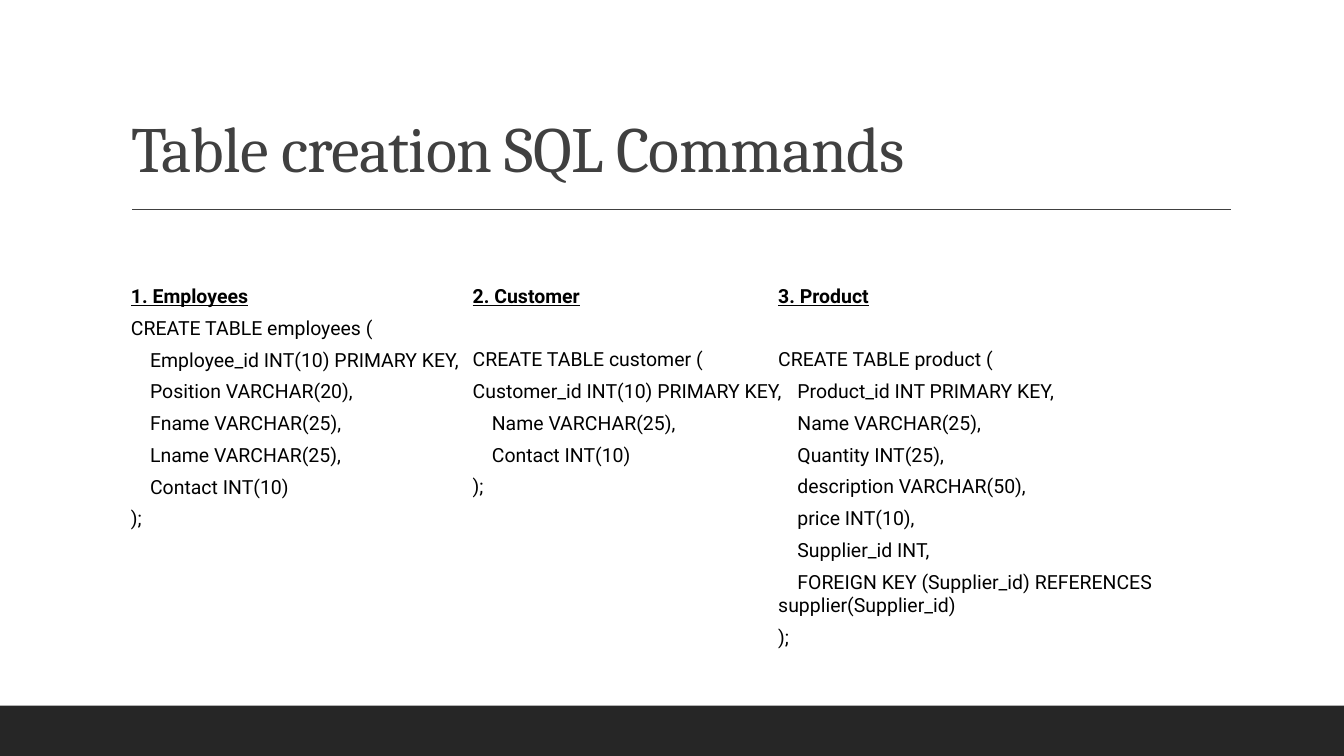
from lxml import etree
from pptx import Presentation
from pptx.dml.color import RGBColor
from pptx.enum.shapes import MSO_CONNECTOR, MSO_SHAPE
from pptx.enum.text import MSO_ANCHOR, MSO_AUTO_SIZE, PP_ALIGN
from pptx.oxml.ns import qn
from pptx.util import Inches, Pt

STRAIGHT = MSO_CONNECTOR.STRAIGHT
RECTANGLE = MSO_SHAPE.RECTANGLE
BOTTOM, TOP = MSO_ANCHOR.BOTTOM, MSO_ANCHOR.TOP
NO_AUTOFIT = MSO_AUTO_SIZE.NONE
LEFT = PP_ALIGN.LEFT

COLORS = {"paper": "FFFFFF", "title": "404040", "bar": "262626", "code": "000000"}
TITLE_FONT = {"name": "Cambria", "size": Pt(46), "bold": False}
CODE_FONT = {"name": "Roboto", "size": Pt(13.9), "bold": False, "underline": False}
HEADING_FONT = {**CODE_FONT, "bold": True, "underline": True}
FIELD_INDENT = Inches(0.19)
LINE_GAP = Pt(6)
WIDE_GAP = Pt(28.5)
COLUMN_TOP = 2.77

TABLES = [
    {"heading": "1. Employees", "left": 1.2, "width": 3.75, "height": 3.19, "gap": LINE_GAP,
     "lines": [("CREATE TABLE employees (", False),
               ("Employee_id INT(10) PRIMARY KEY,", True),
               ("Position VARCHAR(20),", True),
               ("Fname VARCHAR(25),", True),
               ("Lname VARCHAR(25),", True),
               ("Contact INT(10)", True),
               (");", False)]},
    {"heading": "2. Customer", "left": 4.59, "width": 3.4, "height": 2.63, "gap": WIDE_GAP,
     "lines": [("CREATE TABLE customer (", False),
               ("Customer_id INT(10) PRIMARY KEY,", False),
               ("Name VARCHAR(25),", True),
               ("Contact INT(10)", True),
               (");", False)]},
    {"heading": "3. Product", "left": 7.62, "width": 4.58, "height": 4.13, "gap": WIDE_GAP,
     "lines": [("CREATE TABLE product (", False),
               ("Product_id INT PRIMARY KEY,", True),
               ("Name VARCHAR(25),", True),
               ("Quantity INT(25),", True),
               ("description VARCHAR(50),", True),
               ("price INT(10),", True),
               ("Supplier_id INT,", True),
               ("FOREIGN KEY (Supplier_id) REFERENCES supplier(Supplier_id)", True),
               (");", False)]},
]


class SlideBuilder:
    """Holds the colours and the current slide, and adds each kind of element."""

    def __init__(self, deck, colors):
        self.colors = colors
        self.slide = deck.slides.add_slide(deck.slide_layouts.get_by_name("Title Only"))
        self.paint(self.slide.background.fill, "paper")

    def paint(self, fill, color):
        fill.solid()
        fill.fore_color.rgb = RGBColor.from_string(self.colors[color])

    def apply(self, target, values):
        for name, value in values.items():
            setattr(target, name, value)

    def add_span(self, para, text, font, color):
        span = para.add_run()
        span.text = text
        self.apply(span.font, font)
        span.font.color.rgb = RGBColor.from_string(self.colors[color])
        return span

    def title(self, text, left, top, width, height):
        box = self.slide.shapes.title
        self.apply(box, {"left": Inches(left), "top": Inches(top),
                         "width": Inches(width), "height": Inches(height)})
        self.apply(box.text_frame, {"vertical_anchor": BOTTOM, "word_wrap": True,
                                    "auto_size": NO_AUTOFIT})
        para = box.text_frame.paragraphs[0]
        self.apply(para, {"alignment": LEFT, "line_spacing": 0.9})
        span = self.add_span(para, text, TITLE_FONT, "title")
        span.font._element.set("spc", "-50")

    def rule(self, left, right, height):
        line = self.slide.shapes.add_connector(
            STRAIGHT, Inches(left), Inches(height), Inches(right), Inches(height))
        line.line.color.rgb = RGBColor.from_string(self.colors["title"])
        line.line.width = Pt(1)
        etree.SubElement(line._element.spPr, qn("a:effectLst"))

    def bar(self, left, top, width, height):
        box = self.slide.shapes.add_shape(
            RECTANGLE, Inches(left), Inches(top), Inches(width), Inches(height))
        box.shadow.inherit = False
        self.paint(box.fill, "bar")
        box.line.fill.background()

    def code_column(self, heading, lines, left, width, height, gap):
        box = self.slide.shapes.add_textbox(
            Inches(left), Inches(COLUMN_TOP), Inches(width), Inches(height))
        frame = box.text_frame
        self.apply(frame, {"word_wrap": True, "vertical_anchor": TOP,
                           "auto_size": NO_AUTOFIT})
        para = frame.paragraphs[0]
        para.space_after = gap
        self.add_span(para, heading, HEADING_FONT, "code")
        for text, is_field in lines:
            para = frame.add_paragraph()
            para.space_after = LINE_GAP
            if is_field:
                self.indent(para)
            self.add_span(para, text, CODE_FONT, "code")

    def indent(self, para):
        properties = para._p.get_or_add_pPr()
        for name, value in {"marL": 0, "indent": FIELD_INDENT}.items():
            properties.set(name, str(int(value)))


def main():
    deck = Presentation()
    deck.slide_width, deck.slide_height = Inches(13.33), Inches(7.5)
    page = SlideBuilder(deck, COLORS)
    page.title("Table creation SQL Commands", 1.2, 0.31, 11, 1.59)
    page.rule(1.31, 12.21, 2.08)
    page.bar(0, 7, 13.33, 0.5)
    for table in TABLES:
        page.code_column(**table)
    deck.save("out.pptx")


if __name__ == "__main__":
    main()
